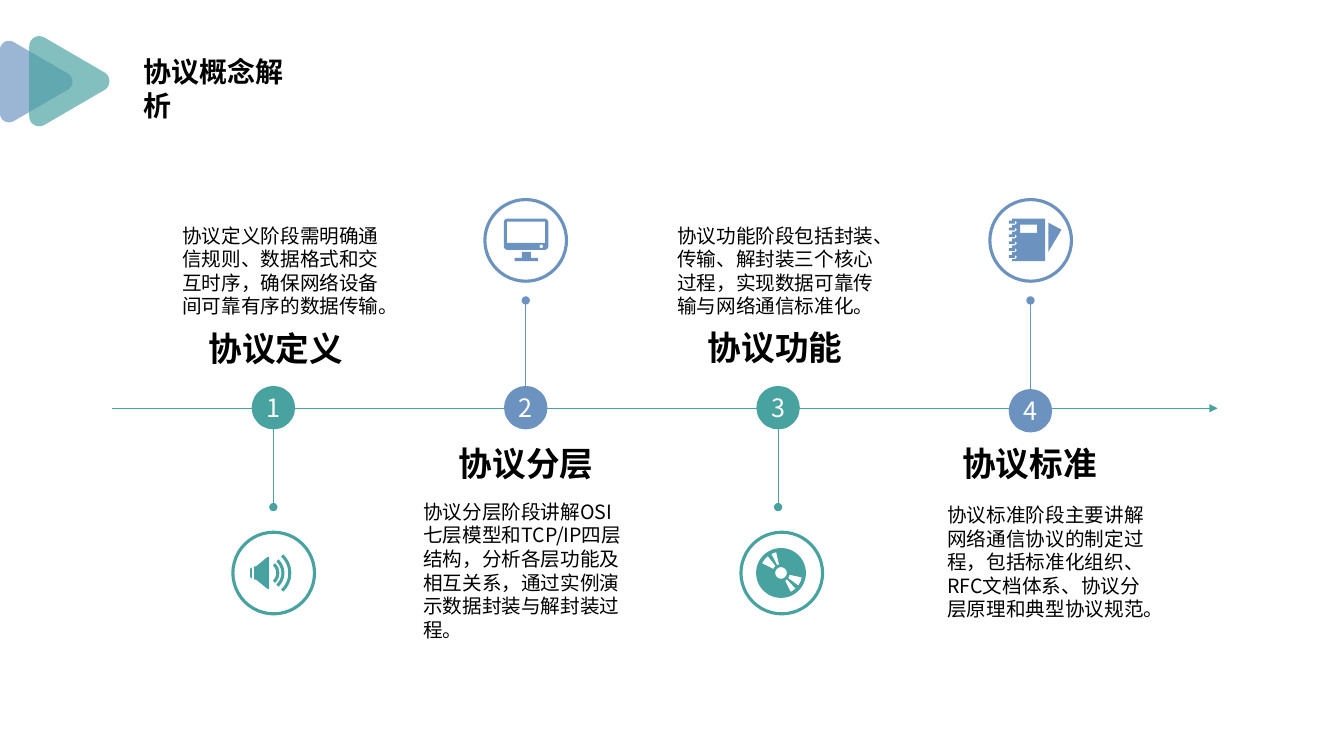
import math

from lxml import etree
from pptx import Presentation
from pptx.dml.color import RGBColor
from pptx.enum import shapes, text
from pptx.oxml import ns
from pptx.util import Pt

TEAL, BLUE = "48A2A0", "6C92C0"
AXIS_Y = 291.6
RING, BADGE = 58.3, 31


def colour(value):
    return RGBColor.from_string(value)


def arc(x, y, radius, start, end, steps=16):
    """Points along a circular arc, angles in degrees, clockwise on the page."""
    angles = [math.radians(start + (end - start) * i / steps) for i in range(steps + 1)]
    return [(x + radius * math.cos(a), y + radius * math.sin(a)) for a in angles]


def bezier(a, b, c, d, steps=10):
    weights = [((1 - t) ** 3, 3 * t * (1 - t) ** 2, 3 * t * t * (1 - t), t ** 3)
               for t in (i / steps for i in range(steps + 1))]
    return [tuple(sum(w * p[axis] for w, p in zip(row, (a, b, c, d))) for axis in (0, 1))
            for row in weights]


def rectangle(left, top, right, bottom):
    return [(left, top), (right, top), (right, bottom), (left, bottom)]


def rounded(left, top, right, bottom, radius):
    corners = rectangle(left + radius, top + radius, right - radius, bottom - radius)
    return [point for i, (x, y) in enumerate(corners)
            for point in arc(x, y, radius, 180 + 90 * i, 270 + 90 * i, 4)]


def sector(x, y, inner, outer, start, end):
    return arc(x, y, inner, start, end) + arc(x, y, outer, end, start)


def rounded_triangle(size):
    """Right-pointing triangle with its left side at x = 0, centred on y = 0."""
    upper = bezier((10.8, -31.2), (5.8, -34), (0, -30.5), (0, -25))
    lower = [(x, -y) for x, y in reversed(upper)]
    tip = bezier((54, 6.1), (58.3, 3.4), (58.3, -3.4), (54, -6.1))
    return [(x * size, y * size) for x, y in upper + lower + tip]


def speaker_icon():
    """Separate outlines: body, back plate and three sound waves."""
    body = [(-14, -4.7), (-12.6, -4.7), (-4.7, -11.2), (-3.6, -11.6), (-3.2, -11),
            (-3.2, 11), (-3.6, 11.6), (-4.7, 11.2), (-12.6, 4.7), (-14, 4.7)]
    plate = [(-15.5, -4), (-16.9, -2.9), (-16.9, 2.9), (-15.5, 4)]
    waves = [sector(-5.6, 0, r - 1.1, r + 1.1, -47, 47) for r in (8.5, 12.2, 17.1)]
    return [[body], [plate]] + [[wave] for wave in waves]


def monitor_icon():
    return [[rounded(-15.6, -15.5, 16.2, 6.8, 2.6),
             [(-7.8, 12.6), (-2.6, 12.6), (-2.6, 8.3), (3.8, 8.3), (3.8, 12.6),
              (8.8, 12.6), (8.8, 14.8), (-7.8, 14.8)],
             rectangle(-13.4, -13.3, 14, 1.8),
             arc(11.2, 4.3, 1.3, 0, 360)]]


def disc_icon():
    x, y = -0.5, 0
    slots = [sector(x, y, 6.2, 15.2, *span)
             for span in ((207, 232), (243, 257), (12, 36), (47, 63))]
    return [[arc(x, y, 17.8, 0, 360, 48), arc(x, y, 4.2, 0, 360)] + slots]


def notebook_icon():
    binding_tab = [(-15.5, 0), (-15.5, 2), (-11.2, 2), (-11.2, 0),
                   (-9.7, 1.4), (-11.2, 2.9), (-13.3, 2.9), (-13.3, 4.9)]
    binding = [(x, y - 14 + 4.9 * i) for i in range(6) for x, y in binding_tab]
    cover = [(-13.3, -15.5), (-13.3, -14)] + binding + [
        (-13.3, 14.8), (10.4, 14.8), (10.4, -15.5)]
    pencil = [(12.6, -12.6), (12.6, 8.3), (22, -7.6)]
    return [[cover, rectangle(-7.6, -11.2, 4.7, -5.4), pencil]]


class Page:
    font = "Noto Sans CJK SC"
    ink = "000000"

    def __init__(self, deck):
        self.slide = deck.slides.add_slide(deck.slide_layouts[5])
        self.shapes = self.slide.shapes

    def style(self, para, size, ink=None, bold=False):
        for span in para.runs:
            span.font.size, span.font.bold = Pt(size), bold
            span.font.name = self.font
            span.font.color.rgb = colour(ink or self.ink)
            etree.SubElement(span._r.get_or_add_rPr(), ns.qn("a:ea"), typeface=self.font)

    def title(self, words, left, top, width, height):
        box = self.shapes.title
        box.left, box.top, box.width, box.height = map(Pt, (left, top, width, height))
        frame = box.text_frame
        frame.text = words
        frame.word_wrap = True
        frame.auto_size = text.MSO_AUTO_SIZE.NONE
        frame.vertical_anchor = text.MSO_ANCHOR.TOP
        frame.paragraphs[0].alignment = text.PP_ALIGN.LEFT
        self.style(frame.paragraphs[0], 20, bold=True)

    def text(self, words, left, top, width, height, size, heading=False):
        box = self.shapes.add_textbox(*map(Pt, (left, top, width, height)))
        frame = box.text_frame
        frame.text = words
        frame.word_wrap = True
        frame.auto_size = text.MSO_AUTO_SIZE.SHAPE_TO_FIT_TEXT
        para = frame.paragraphs[0]
        if heading:
            para.alignment = text.PP_ALIGN.CENTER
            para.line_spacing = 0.94
        self.style(para, size, bold=heading)

    def circle(self, x, y, diameter, fill=None, line=None, words=""):
        box = self.shapes.add_shape(shapes.MSO_SHAPE.OVAL, Pt(x - diameter / 2),
                                    Pt(y - diameter / 2), Pt(diameter), Pt(diameter))
        self.paint(box, fill)
        if line:
            box.line.color.rgb = colour(line)
            box.line.width = Pt(2.25)
        if words:
            frame = box.text_frame
            frame.text = words
            frame.word_wrap = False
            frame.vertical_anchor = text.MSO_ANCHOR.MIDDLE
            frame.paragraphs[0].alignment = text.PP_ALIGN.CENTER
            self.style(frame.paragraphs[0], 18, "FFFFFF")

    def paint(self, box, fill):
        box.shadow.inherit = False
        box.line.fill.background()
        if fill:
            box.fill.solid()
            box.fill.fore_color.rgb = colour(fill)
        else:
            box.fill.background()

    def line(self, x1, y1, x2, y2, ink, **ends):
        """Thin line; ends may give headEnd and tailEnd arrow types."""
        line = self.shapes.add_connector(shapes.MSO_CONNECTOR.STRAIGHT,
                                         *map(Pt, (x1, y1, x2, y2)))
        line.line.color.rgb = colour(ink)
        line.line.width = Pt(0.5)
        for tag, kind in ends.items():
            etree.SubElement(line.line._get_or_add_ln(), ns.qn("a:" + tag), type=kind)
        etree.SubElement(line._element.spPr, ns.qn("a:effectLst"))

    def outline(self, loops, x, y, fill, alpha=None):
        """Filled freeform around (x, y); inner loops become holes."""
        loops = [[((x + dx) * 100, (y + dy) * 100) for dx, dy in loop] for loop in loops]
        builder = self.shapes.build_freeform(*loops[0][0], scale=Pt(1) / 100)
        for i, loop in enumerate(loops):
            if i:
                builder.move_to(*loop[0])
            builder.add_line_segments(loop[1:], close=True)
        box = builder.convert_to_shape()
        self.paint(box, fill)
        if alpha:
            tint = box._element.spPr.find(ns.qn("a:solidFill"))[0]
            etree.SubElement(tint, ns.qn("a:alpha"), val=str(alpha * 1000))


# name, name box, description, description box, colour, badge y, ring centre, stem, icon
STAGES = [
    ("协议定义", (116.6, 233.3, 160.6),
     "协议定义阶段需明确通信规则、数据格式和交互时序，确保网络设备间可靠有序的数据传输。",
     (123.1, 156.2), TEAL, 291.2, (195.5, 409.3), (291, 362.2), speaker_icon),
    ("协议分层", (298.8, 315.4, 154.1),
     "协议分层阶段讲解OSI七层模型和TCP/IP四层结构，分析各层功能及相互关系，通过实例演示数据封装与解封装过程。",
     (295.2, 353.5), BLUE, 291.2, (375.5, 171.7), (214.6, 285.1), monitor_icon),
    ("协议功能", (467.3, 232.6, 172.8),
     "协议功能阶段包括封装、传输、解封装三个核心过程，实现数据可靠传输与网络通信标准化。",
     (476.6, 156.2), TEAL, 291.2, (558.4, 409.3), (291, 362.2), disc_icon),
    ("协议标准", (638.6, 315.4, 193.7),
     "协议标准阶段主要讲解网络通信协议的制定过程，包括标准化组织、RFC文档体系、协议分层原理和典型协议规范。",
     (669.6, 355.7), BLUE, 293.4, (736.2, 171.7), (214.6, 285.1), notebook_icon),
]


def main():
    deck = Presentation()
    deck.slide_width, deck.slide_height = Pt(960), Pt(540)
    page = Page(deck)
    page.title("协议概念解析", 95, 35.3, 122.4, 31.7)
    page.outline([rounded_triangle(0.905)], 0, 58.3, BLUE, alpha=68)
    page.outline([rounded_triangle(1)], 20.9, 58, TEAL, alpha=68)

    stem_xs = [195.3 + 180.25 * i for i in range(len(STAGES))]
    for x, (*_, ink, _, _, (top, bottom), _) in zip(stem_xs, STAGES):
        page.line(x, top, x, bottom, ink, headEnd="oval", tailEnd="oval")
    page.line(79.9, AXIS_Y, 869.8, AXIS_Y, TEAL, tailEnd="triangle")

    for number, (x, stage) in enumerate(zip(stem_xs, STAGES), 1):
        name, name_box, about, about_at, ink, badge_y, centre, _, icon = stage
        page.circle(x, badge_y, BADGE, fill=ink, words=str(number))
        page.circle(*centre, RING, line=ink)
        for loops in icon():
            page.outline(loops, *centre, ink)
        page.text(about, *about_at, 162, 24.5, 14)
        page.text(name, *name_box, 34.6, 24, heading=True)
    deck.save("out.pptx")


if __name__ == "__main__":
    main()
